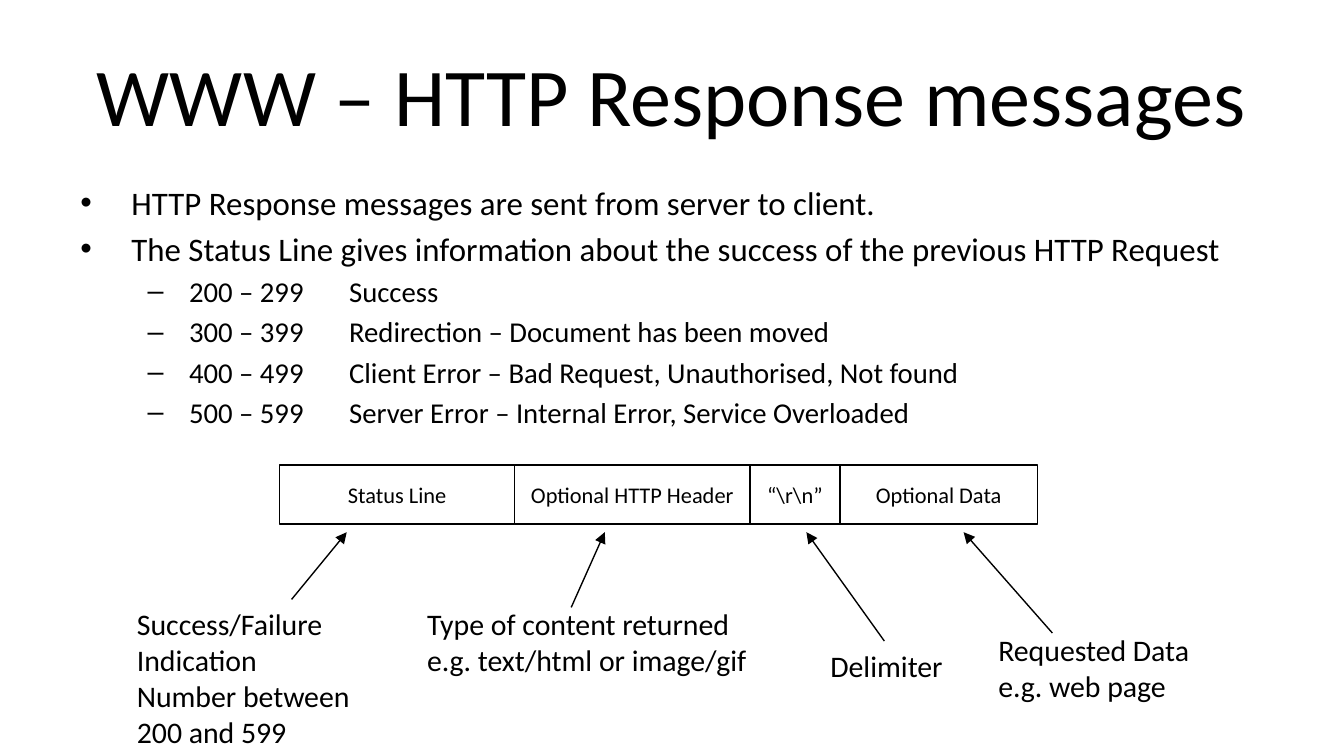
from lxml import etree
from pptx import Presentation
from pptx.dml.color import RGBColor
from pptx.enum.shapes import MSO_CONNECTOR, MSO_SHAPE
from pptx.enum.text import MSO_ANCHOR, MSO_AUTO_SIZE, PP_ALIGN
from pptx.oxml.ns import qn
from pptx.util import Inches, Pt

LEFT, CENTER = PP_ALIGN.LEFT, PP_ALIGN.CENTER
TOP, MIDDLE = MSO_ANCHOR.TOP, MSO_ANCHOR.MIDDLE
GROW = MSO_AUTO_SIZE.SHAPE_TO_FIT_TEXT
RECT, STRAIGHT = MSO_SHAPE.RECTANGLE, MSO_CONNECTOR.STRAIGHT
COLORS = {"ink": "000000", "paper": "FFFFFF"}
INK = RGBColor.from_string(COLORS["ink"])
PAPER = RGBColor.from_string(COLORS["paper"])

# Slide, 16:9
prs = Presentation()
prs.slide_width = Inches(10)
prs.slide_height = prs.slide_width * 9 // 16
s = prs.slides.add_slide(prs.slide_layouts[6])


def write(sp, lines, size=16, align=LEFT, anchor=TOP, wrap=True):
    tf = sp.text_frame
    tf.word_wrap = wrap
    tf.vertical_anchor = anchor
    for i, line in enumerate(lines):
        p = tf.paragraphs[0] if i == 0 else tf.add_paragraph()
        p.alignment = align
        r = p.add_run()
        r.text = line
        r.font.size, r.font.name = Pt(size), "Calibri"
        r.font.color.rgb = INK
    return tf


def text_box(x, y, w, h, lines, **fmt):
    sp = s.shapes.add_textbox(Inches(x), Inches(y), Inches(w), Inches(h))
    return write(sp, lines, **fmt)


# Title
text_box(0.5, 0.23, 9, 0.94, ["WWW – HTTP Response messages"],
         size=44, align=CENTER, anchor=MIDDLE)

# Bullets: level, text
bullets = [
    (0, "HTTP Response messages are sent from server to client."),
    (0, "The Status Line gives information about the success of the previous HTTP Request"),
    (1, "200 – 299\tSuccess"),
    (1, "300 – 399\tRedirection – Document has been moved"),
    (1, "400 – 499\tClient Error – Bad Request, Unauthorised, Not found"),
    (1, "500 – 599\tServer Error – Internal Error, Service Overloaded"),
]
# Level styles: size, left margin, hanging indent, bullet
levels = [(17.6, 0.38, -0.38, "•"), (15.4, 0.81, -0.31, "–")]
tf = text_box(0.5, 1.31, 9, 1.82, [text for _, text in bullets])
for p, (level, _) in zip(tf.paragraphs, bullets):
    size, margin, indent, char = levels[level]
    p.level = level
    p.space_before = Pt(size * 0.2)
    p.runs[0].font.size = Pt(size)
    pPr = p._p.get_or_add_pPr()
    pPr.set("marL", str(Inches(margin)))
    pPr.set("indent", str(Inches(indent)))
    etree.SubElement(pPr, qn("a:buFont")).set("typeface", "Arial")
    etree.SubElement(pPr, qn("a:buChar")).set("char", char)

# Message fields, side by side in one group
fields = s.shapes.add_group_shape()
x = 2.08
for name, width in [("Status Line", 1.75), ("Optional HTTP Header", 1.75),
                    ("“\\r\\n”", 0.67), ("Optional Data", 1.47)]:
    sp = fields.shapes.add_shape(RECT, Inches(x), Inches(3.46),
                                 Inches(width), Inches(0.44))
    sp.shadow.inherit = False
    sp.fill.solid()
    sp.fill.fore_color.rgb = PAPER
    sp.line.color.rgb = INK
    sp.line.width = Pt(0.75)
    write(sp, [name], size=12, align=CENTER, anchor=MIDDLE, wrap=False)
    x += width

# Field notes: place, wrap, lines
notes = [
    (0.92, 4.46, 1.81, 1.18, False,
     ["Success/Failure", "Indication", "Number between", "200 and 599"]),
    (3.08, 4.46, 2.6, 0.64, False,
     ["Type of content returned", "e.g. text/html or image/gif"]),
    (6.08, 4.77, 1.05, 0.37, False, ["Delimiter"]),
    (7.33, 4.65, 1.67, 0.64, True, ["Requested Data e.g. web page"]),
]
for x, y, w, h, wrap, lines in notes:
    text_box(x, y, w, h, lines, wrap=wrap).auto_size = GROW

# Arrows from notes up to fields
for x1, y1, x2 in [(2.17, 4.46, 2.58), (4.25, 4.52, 4.5),
                   (6.58, 4.77, 6), (7.83, 4.71, 7.17)]:
    arrow = s.shapes.add_connector(STRAIGHT, Inches(x1), Inches(y1),
                                   Inches(x2), Inches(3.96))
    arrow.line.color.rgb = INK
    arrow.line.width = Pt(0.75)
    ln = arrow._element.spPr.find(qn("a:ln"))
    etree.SubElement(ln, qn("a:tailEnd")).set("type", "triangle")
    etree.SubElement(arrow._element.spPr, qn("a:effectLst"))

prs.save("out.pptx")
